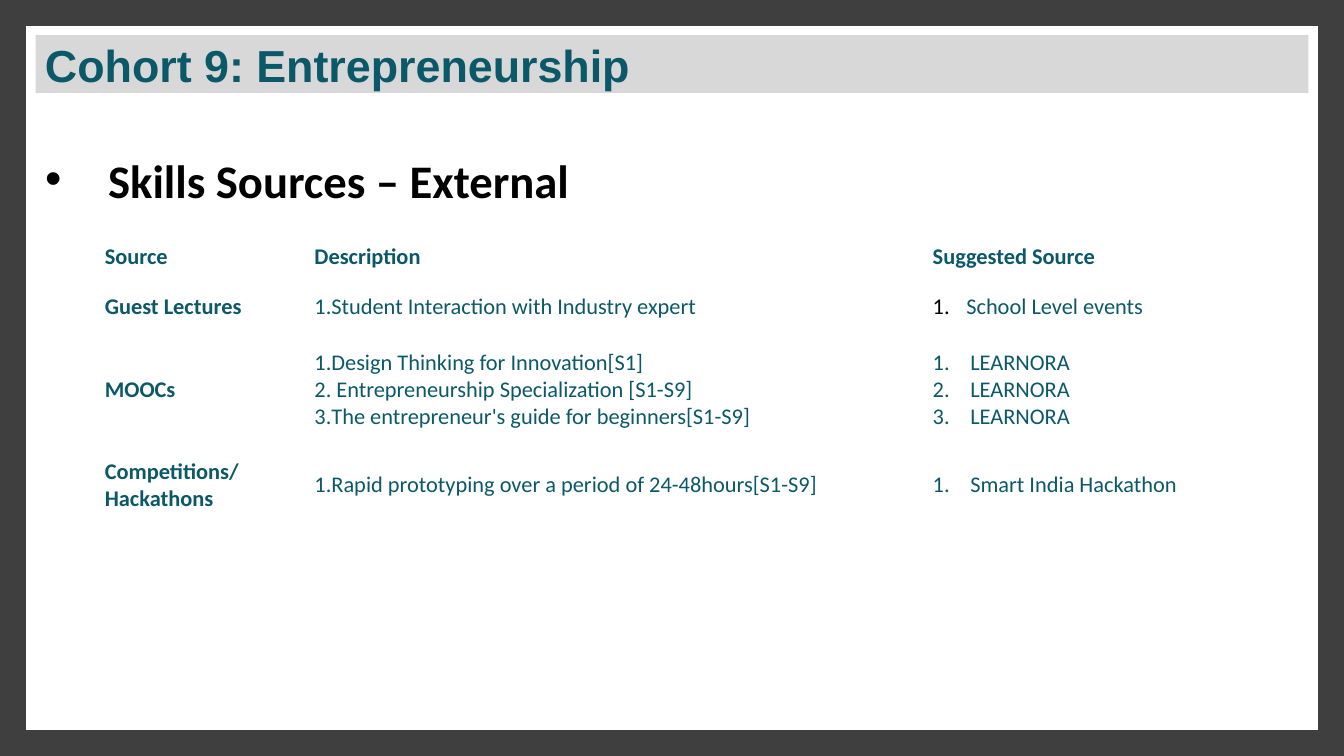
from lxml import etree
from pptx import Presentation
from pptx.dml.color import RGBColor
from pptx.enum import shapes, text
from pptx.oxml.ns import qn
from pptx.util import Inches, Pt

TEAL = RGBColor(0x0B, 0x59, 0x68)
BLACK = RGBColor(0, 0, 0)
WHITE = RGBColor(255, 255, 255)
NIGHT = RGBColor(0x0C, 0x0C, 0x0C)
DARK = RGBColor(0x3F, 0x3F, 0x3F)
GREY = RGBColor(0xD8, 0xD8, 0xD8)

# Widescreen slide, 16 by 9
WIDE = 10
HIGH = WIDE * 9 / 16

TITLE = dict(size=Pt(24), name="Arial", bold=True)
HEAD = dict(size=Pt(25), name="Calibri", bold=True)
LABEL = dict(size=Pt(12), name="Calibri", bold=True)
BODY = dict(LABEL, bold=False)

COLS = (1.56, 4.6, 2.4)
ROWS = (0.18, 0.53, 0.71, 0.71)
HEADS = ("Source", "Description", "Suggested Source")
# Label, numbered description, numbered sources, source indent, number colour
ITEMS = (
    ("Guest Lectures", ["Student Interaction with Industry expert"],
     ["School Level events"], 0.25, BLACK),
    ("MOOCs", ["Design Thinking for Innovation[S1]",
               " Entrepreneurship Specialization [S1-S9]",
               "The entrepreneur's guide for beginners[S1-S9]"],
     ["LEARNORA"] * 3, 0.28, TEAL),
    ("Competitions/ Hackathons",
     ["Rapid prototyping over a period of 24-48hours[S1-S9]"],
     ["Smart India Hackathon"], 0.28, TEAL),
)


def style(obj, fmt):
    for key, val in fmt.items():
        setattr(obj, key, val)


def rect(slide, box, fill, line=None):
    shape = slide.shapes.add_shape(shapes.MSO_SHAPE.RECTANGLE,
                                   *map(Inches, box))
    shape.shadow.inherit = False
    shape.fill.solid()
    shape.fill.fore_color.rgb = fill
    if line:
        shape.line.color.rgb = line
        shape.line.width = Pt(10)
        # Square corners
        edge = shape.line._get_or_add_ln()
        etree.SubElement(edge, qn("a:miter"), lim="800000")
    else:
        shape.line.fill.background()
    return shape


def mark(para, left, hang, color, kind, **attrs):
    """Give a paragraph a bullet or a number."""
    props = para._p.get_or_add_pPr()
    props.set("marL", str(Inches(left)))
    props.set("indent", str(-Inches(hang)))
    clr = etree.SubElement(props, qn("a:buClr"))
    etree.SubElement(clr, qn("a:srgbClr"), val=str(color))
    face = "Arial" if kind == "a:buChar" else "Calibri"
    etree.SubElement(props, qn("a:buFont"), typeface=face)
    etree.SubElement(props, qn(kind), **attrs)


def write(para, words, fmt, color=TEAL):
    para.alignment = text.PP_ALIGN.LEFT
    run = para.add_run()
    run.text = words
    style(run.font, fmt)
    run.font.color.rgb = color


def frame(shape, side, edge):
    body = shape.text_frame
    style(body, dict(word_wrap=True, vertical_anchor=text.MSO_ANCHOR.MIDDLE,
                     margin_left=Inches(side), margin_right=Inches(side),
                     margin_top=Inches(edge), margin_bottom=Inches(edge)))
    return body.paragraphs[0]


def panel(slide, box):
    """White sheet with its title band and heading."""
    left, top, width, height = box
    rect(slide, box, WHITE, WHITE)
    band = rect(slide, (left, top, width, 0.43), GREY)
    write(frame(band, 0.07, 0.09), "Cohort 9: Entrepreneurship", TITLE)
    area = (left, top + 0.94, 8.62, 0.38)
    para = frame(slide.shapes.add_textbox(*map(Inches, area)), 0.07, 0.04)
    mark(para, 0.47, 0.47, BLACK, "a:buChar", char="•")
    para.line_spacing = 0.7
    write(para, "Skills Sources – External", HEAD, BLACK)


def fill_cell(cell, lines, fmt, left=0, hang=0, color=TEAL):
    cell.fill.background()
    style(cell, dict(vertical_anchor=text.MSO_ANCHOR.MIDDLE, margin_bottom=0,
                     margin_left=Inches(0.01), margin_right=Inches(0.01),
                     margin_top=Inches(0.01)))
    body = cell.text_frame
    for i, words in enumerate(lines):
        para = body.add_paragraph() if i else body.paragraphs[0]
        if hang:
            mark(para, left, hang, color, "a:buAutoNum", type="arabicPeriod")
        write(para, words, fmt)


def sources(slide, box):
    """Table of skill sources."""
    grid = slide.shapes.add_table(len(ROWS), len(COLS),
                                  *map(Inches, box)).table
    style(grid, dict(first_row=False, horz_banding=False))
    for col, width in zip(grid.columns, COLS):
        col.width = Inches(width)
    for row, height in zip(grid.rows, ROWS):
        row.height = Inches(height)
    for c, words in enumerate(HEADS):
        fill_cell(grid.cell(0, c), [words], LABEL)
    for r, (label, about, where, pad, color) in enumerate(ITEMS, 1):
        fill_cell(grid.cell(r, 0), [label], LABEL)
        fill_cell(grid.cell(r, 1), about, BODY, 0, 0.08)
        fill_cell(grid.cell(r, 2), where, BODY, pad, pad, color)


def main():
    deck = Presentation()
    style(deck, dict(slide_width=Inches(WIDE), slide_height=Inches(HIGH)))
    slide = deck.slides.add_slide(deck.slide_layouts[6])
    slide.background.fill.solid()
    slide.background.fill.fore_color.rgb = NIGHT
    rect(slide, (0, 0, WIDE, HIGH), DARK)
    # Sheet centred on the slide
    width, height = 9.47, 5.1
    panel(slide, ((WIDE - width) / 2, (HIGH - height) / 2, width, height))
    sources(slide, (0.77, 1.8, sum(COLS), sum(ROWS)))
    deck.save("out.pptx")


if __name__ == "__main__":
    main()
